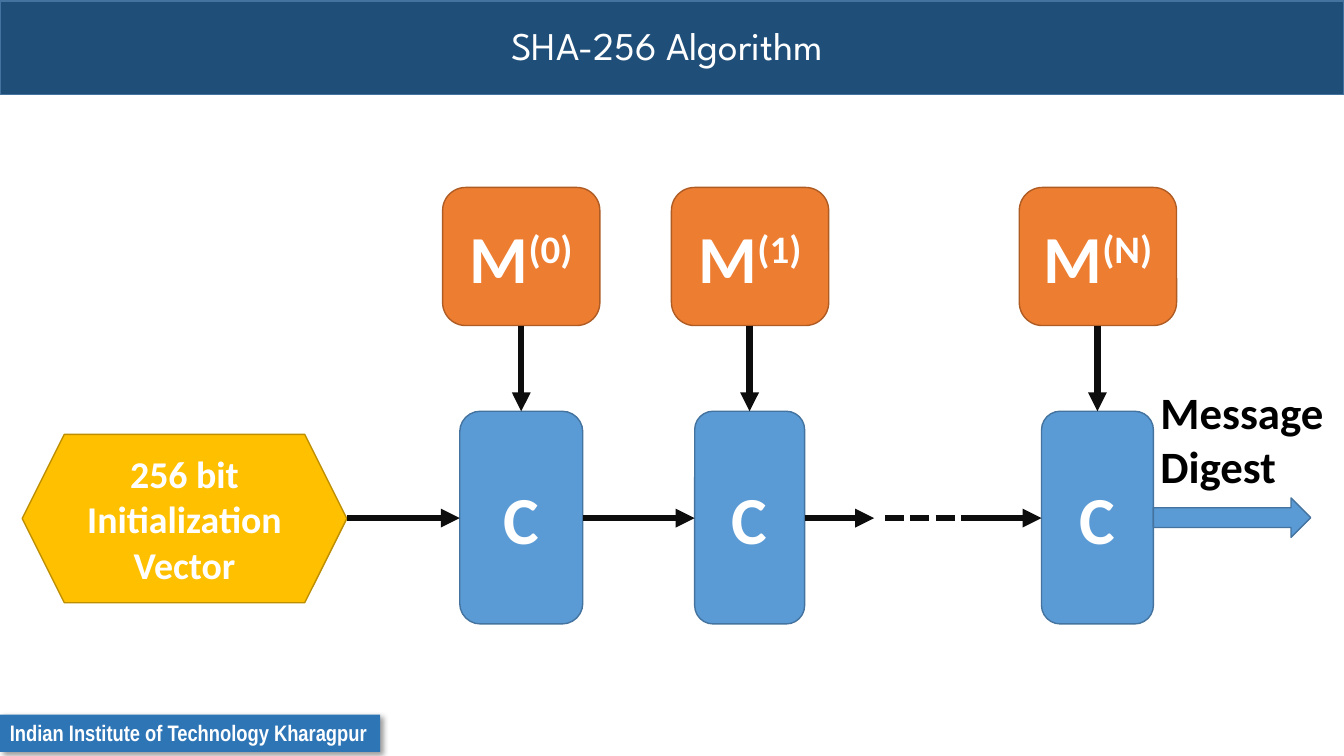
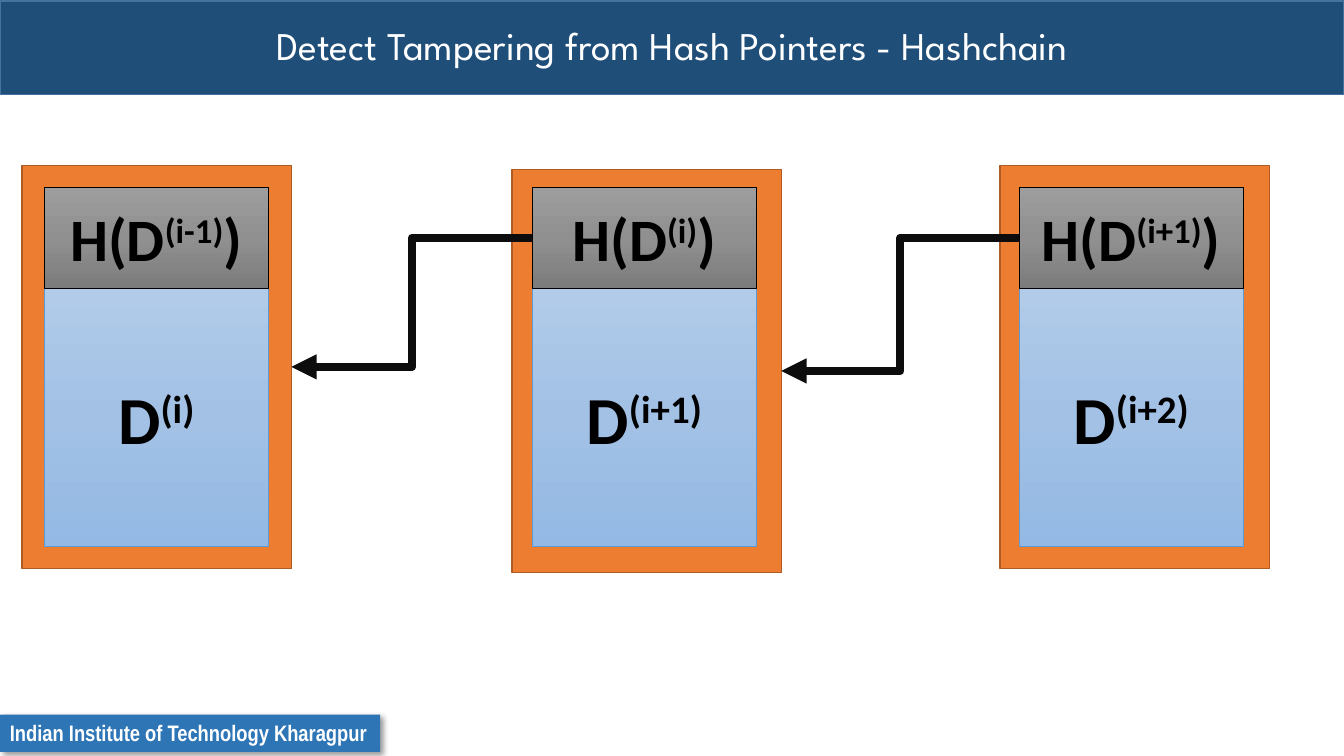
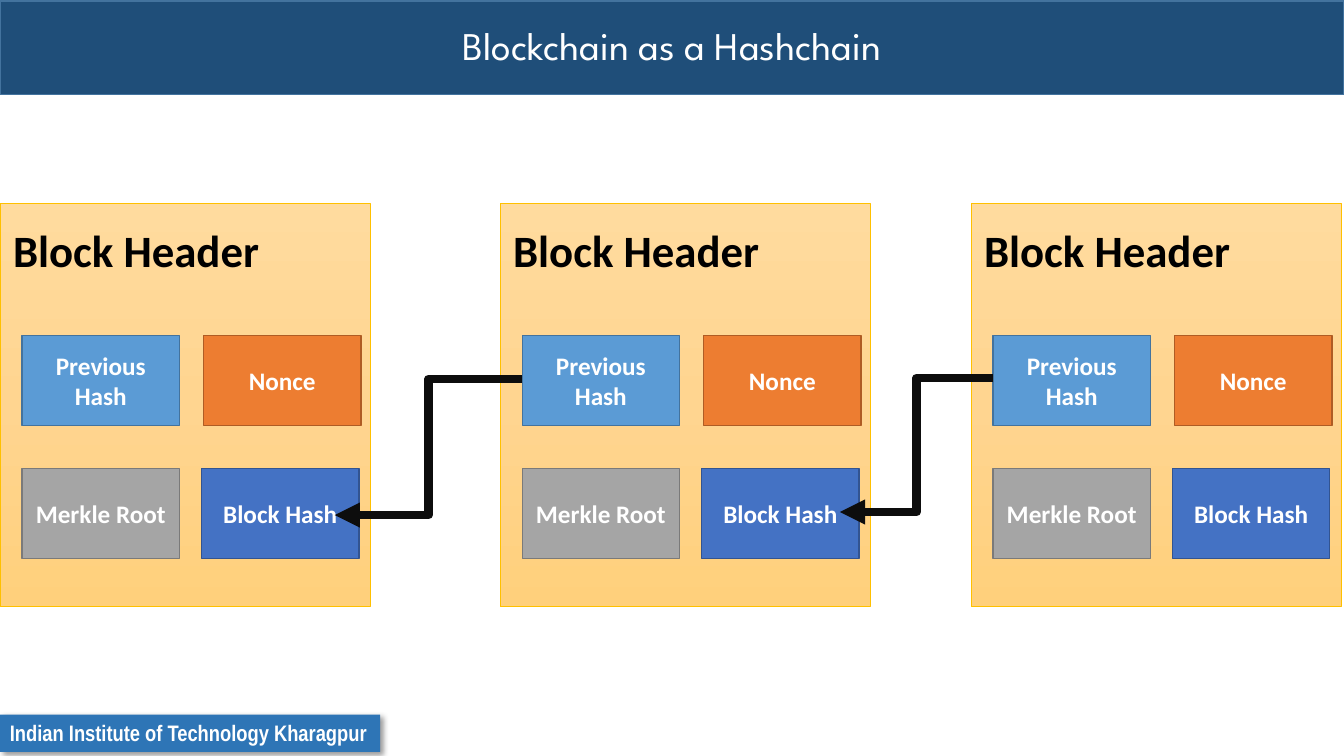
from dataclasses import dataclass

from lxml.etree import SubElement
from pptx import Presentation
from pptx.dml.color import RGBColor
from pptx.enum.dml import MSO_LINE
from pptx.enum.shapes import MSO_CONNECTOR, MSO_SHAPE
from pptx.enum.text import MSO_ANCHOR, MSO_AUTO_SIZE, PP_ALIGN
from pptx.oxml.ns import qn
from pptx.util import Inches, Pt


@dataclass(frozen=True)
class Theme:
    # A style is a fill, a line colour and a line width; three fill colours make a gradient.
    band: tuple = ("1F4E79", "43739E", 1)
    footer: tuple = ("2E75B6", None, 0)
    blue: tuple = ("5B9BD5", "43739E", 1)
    orange: tuple = ("ED7D31", "AF5C24", 1)
    gold: tuple = ("FFC000", "BD8E00", 1)
    gray: tuple = ("A5A5A5", "7A7A7A", 1)
    indigo: tuple = ("4472C4", "325491", 1)
    pale_blue: tuple = (("B1CBE9", "A3C1E5", "93B9E4"), "5B9BD5", 0.5)
    dark_gray: tuple = (("9D9D9D", "909090", "7C7C7C"), "000000", 0.5)
    pale_gold: tuple = (("FFDB9E", "FFD590", "FFD07C"), "FFC000", 0.5)
    white: str = "FFFFFF"
    black: str = "000000"
    arrow: str = "0D0D0D"
    body_font: str = "Calibri"
    title_font: str = "League Spartan"
    footer_font: str = "Arial Narrow"
    title_size: int = 28
    symbol_size: int = 48
    hash_size: int = 43
    label_size: int = 32
    vector_size: int = 27
    field_size: int = 18
    footer_size: int = 16
    arrow_width: float = 4.5
    chain_width: float = 6


THEME = Theme()
SLIDE_WIDTH, SLIDE_HEIGHT = 13.33, 7.5
BAND = (0, 0.01, SLIDE_WIDTH, 0.93)


def set_format(target, formats):
    for name, value in formats.items():
        setattr(target, name, value)


def write(shape, text, size, color=THEME.white, font=THEME.body_font, bold=True,
          align=PP_ALIGN.CENTER):
    """Write one paragraph; every second part between ^ marks is superscript."""
    paragraph = shape.text_frame.paragraphs[0]
    paragraph.alignment = align
    for index, part in enumerate(text.split("^")):
        run = paragraph.add_run()
        run.text = part
        set_format(run.font, {"name": font, "size": Pt(size), "bold": bold})
        run.font.color.rgb = RGBColor.from_string(color)
        if index % 2:
            run._r.get_or_add_rPr().set("baseline", "30000")
    return paragraph


def set_frame(shape, wrap=True, anchor=MSO_ANCHOR.MIDDLE, grow=False, margins=(0.13, 0.07)):
    side, end = map(Inches, margins)
    set_format(shape.text_frame, {
        "word_wrap": wrap,
        "vertical_anchor": anchor,
        "auto_size": MSO_AUTO_SIZE.SHAPE_TO_FIT_TEXT if grow else MSO_AUTO_SIZE.NONE,
        "margin_left": side, "margin_right": side,
        "margin_top": end, "margin_bottom": end,
    })


def fill_gradient(shape, colors):
    shape.fill.gradient()
    shape.fill.gradient_angle = 270
    stops = next(shape.element.iter(qn("a:gsLst")))
    for stop in list(stops):
        stops.remove(stop)
    for index, color in enumerate(colors):
        position = 100000 * index // (len(colors) - 1)
        stop = SubElement(stops, qn("a:gs"), pos=str(position))
        SubElement(stop, qn("a:srgbClr"), val=color)


def add_box(slide, position, style, text="", size=THEME.field_size,
            color=THEME.white, kind=MSO_SHAPE.RECTANGLE):
    fill, line, width = style
    shape = slide.shapes.add_shape(kind, *map(Inches, position))
    shape.shadow.inherit = False
    if isinstance(fill, tuple):
        fill_gradient(shape, fill)
    else:
        shape.fill.solid()
        shape.fill.fore_color.rgb = RGBColor.from_string(fill)
    if line:
        shape.line.color.rgb = RGBColor.from_string(line)
        shape.line.width = Pt(width)
    else:
        shape.line.fill.background()
    if text:
        set_frame(shape)
        write(shape, text, size, color)
    return shape


def add_label(slide, position, text, wrap):
    label = slide.shapes.add_textbox(*map(Inches, position))
    set_frame(label, wrap, MSO_ANCHOR.TOP, grow=True)
    write(label, text, THEME.label_size, THEME.black, align=PP_ALIGN.LEFT)


def add_line(slide, start, end, width=THEME.arrow_width, kind=MSO_CONNECTOR.STRAIGHT, head=True):
    connector = slide.shapes.add_connector(kind, *map(Inches, (*start, *end)))
    connector.line.color.rgb = RGBColor.from_string(THEME.arrow)
    connector.line.width = Pt(width)
    if head:
        SubElement(connector.line._get_or_add_ln(), qn("a:tailEnd"), type="triangle")
    SubElement(connector.element.spPr, qn("a:effectLst"))
    return connector


def add_chain_arrow(slide, start, end):
    add_line(slide, start, end, THEME.chain_width, MSO_CONNECTOR.ELBOW)


def add_footer_shadow(shape):
    effects = shape.element.spPr.find(qn("a:effectLst"))
    shadow = SubElement(effects, qn("a:outerShdw"), blurRad=str(Pt(4)), dist=str(Pt(3)),
                        dir="2700000", algn="tl", rotWithShape="0")
    color = SubElement(shadow, qn("a:srgbClr"), val=THEME.black)
    SubElement(color, qn("a:alpha"), val="40000")


def dress_layout(layout, slide):
    """Draw the band and footer on a slide, then move them to its layout."""
    band = add_box(slide, BAND, THEME.band)
    footer = add_box(slide, (0, 7.09, 3.77, 0.37), THEME.footer)
    add_footer_shadow(footer)
    set_frame(footer, wrap=False, anchor=MSO_ANCHOR.TOP, grow=True, margins=(0.1, 0.05))
    write(footer, "Indian Institute of Technology Kharagpur", THEME.footer_size,
          font=THEME.footer_font, align=PP_ALIGN.LEFT)
    for index, shape in enumerate((band, footer), start=2):
        layout.shapes.element.insert(index, shape.element)


def set_title(slide, text):
    title = slide.shapes.title
    set_format(title, dict(zip(("left", "top", "width", "height"), map(Inches, BAND))))
    set_frame(title, margins=(0.1, 0.05))
    paragraph = write(title, text, THEME.title_size, font=THEME.title_font, bold=False)
    paragraph.line_spacing = 0.9


def draw_sha256(slide):
    set_title(slide, "SHA-256 Algorithm ")
    flow = 5.14
    block_top, block_width, block_height = 1.86, 1.56, 1.37
    step_top, step_height = 4.08, 2.11
    add_box(slide, (0.22, 4.31, 3.22, 1.67), THEME.gold, "256 bit Initialization Vector",
            THEME.vector_size, kind=MSO_SHAPE.HEXAGON)
    steps = [("0", 4.56, 1.22, 4.39), ("1", 6.89, 1.09, 6.66), ("N", 10.33, 1.11, 10.11)]
    for index, left, width, block_left in steps:
        add_box(slide, (left, step_top, width, step_height), THEME.blue, "C",
                THEME.symbol_size, kind=MSO_SHAPE.ROUNDED_RECTANGLE)
        add_box(slide, (block_left, block_top, block_width, block_height), THEME.orange,
                f"M^({index})", THEME.symbol_size, kind=MSO_SHAPE.ROUNDED_RECTANGLE)
        center = left + width / 2
        add_line(slide, (center, block_top + block_height), (center, step_top))
    for start, end in [(3.44, 4.56), (5.78, 6.89), (7.98, 8.67), (9.67, 10.33)]:
        add_line(slide, (start, flow), (end, flow))
    gap = add_line(slide, (8.78, flow), (9.67, flow), head=False)
    gap.line.dash_style = MSO_LINE.SQUARE_DOT
    add_box(slide, (11.44, 4.94, 1.56, 0.39), THEME.blue, kind=MSO_SHAPE.RIGHT_ARROW)
    add_label(slide, (11.38, 3.75, 1.96, 1.21), "Message Digest", wrap=True)


def draw_hash_pointers(slide):
    set_title(slide, "Detect Tampering from Hash Pointers - Hashchain")
    frame_width, frame_height, cell_width = 2.67, 4, 2.22
    blocks = [(0.22, 1.64, 0.44, "i-1", "i"), (5.08, 1.68, 5.28, "i", "i+1"),
              (9.92, 1.64, 10.11, "i+1", "i+2")]
    for left, top, cell_left, previous, current in blocks:
        add_box(slide, (left, top, frame_width, frame_height), THEME.orange)
        add_box(slide, (cell_left, 2.86, cell_width, 2.56), THEME.pale_blue,
                f"D^({current})", THEME.symbol_size, THEME.black)
        add_box(slide, (cell_left, 1.86, cell_width, 1), THEME.dark_gray,
                f"H(D^({previous})^)", THEME.hash_size, THEME.black)
    for (left, top, *_), (_, _, cell_left, *_) in zip(blocks, blocks[1:]):
        add_chain_arrow(slide, (cell_left, 2.36), (left + frame_width, top + frame_height / 2))


def draw_blockchain(slide):
    set_title(slide, "Blockchain as a Hashchain")
    fields = [("Previous Hash", 0.22, 3.33, THEME.blue), ("Nonce", 2.02, 3.33, THEME.orange),
              ("Merkle Root", 0.22, 4.65, THEME.gray), ("Block Hash", 2, 4.65, THEME.indigo)]
    for left in (0, 4.96, 9.63):
        add_box(slide, (left, 2.02, 3.67, 4), THEME.pale_gold)
        add_label(slide, (left, 2.14, 2.73, 0.67), "Block Header", wrap=False)
        for text, offset, top, style in fields:
            add_box(slide, (left + offset, top, 1.56, 0.89), style, text)
    add_chain_arrow(slide, (9.85, 3.75), (8.33, 5.08))
    add_chain_arrow(slide, (5.18, 3.76), (3.32, 5.11))


def main():
    presentation = Presentation()
    set_format(presentation, {"slide_width": Inches(SLIDE_WIDTH),
                              "slide_height": Inches(SLIDE_HEIGHT)})
    layout = presentation.slide_layouts.get_by_name("Title Only")
    drawings = (draw_sha256, draw_hash_pointers, draw_blockchain)
    slides = [presentation.slides.add_slide(layout) for _ in drawings]
    dress_layout(layout, slides[0])
    for draw, slide in zip(drawings, slides):
        draw(slide)
    presentation.save("out.pptx")


if __name__ == "__main__":
    main()
